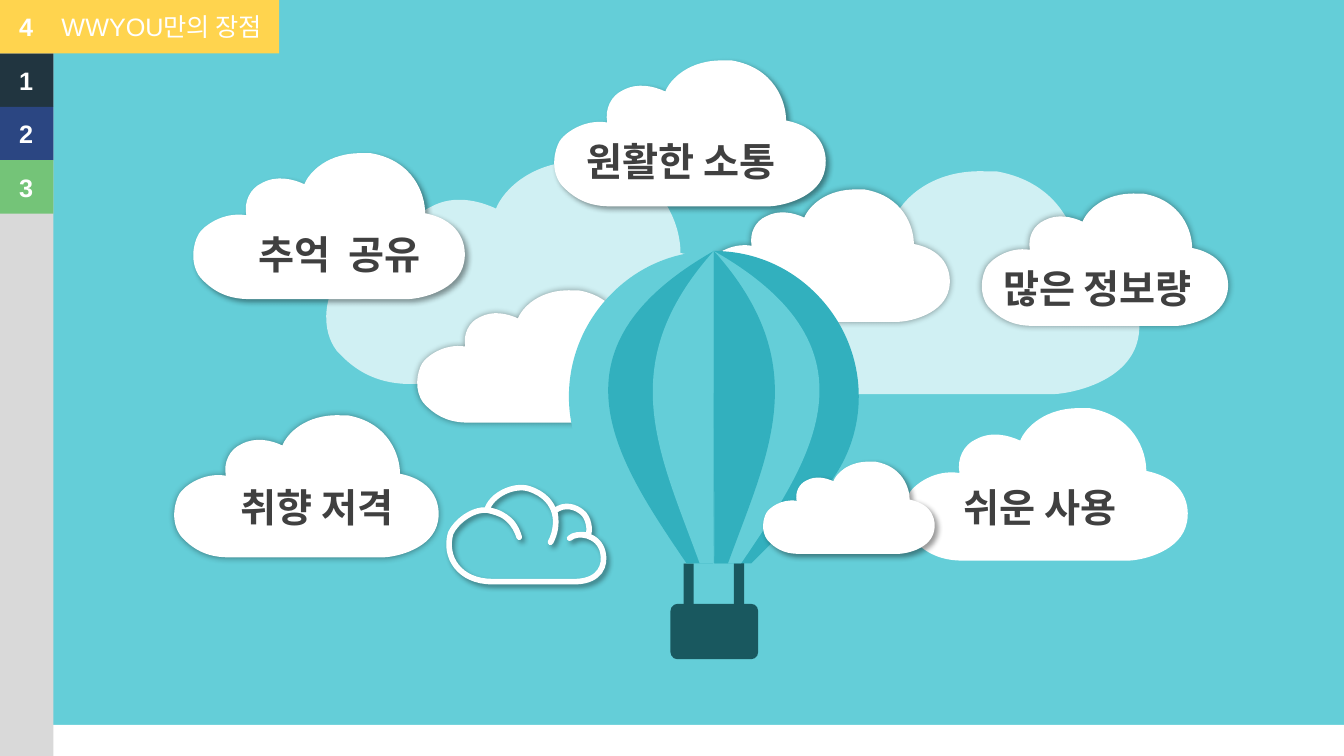
"""Builds a slide of service advantages on clouds around a hot-air balloon."""
import pptx
import pptx.dml.color
import pptx.enum.shapes
import pptx.enum.text
import pptx.oxml
import pptx.oxml.ns
import pptx.util

Inches = pptx.util.Inches
Align = pptx.enum.text.PP_ALIGN
Anchor = pptx.enum.text.MSO_ANCHOR
Preset = pptx.enum.shapes.MSO_SHAPE
namespace = pptx.oxml.ns.nsdecls("a")


class Theme:
    sky, teal, basket = "64CED8", "32B0BE", "19585F"
    white, ink, rail, banner = "FFFFFF", "404040", "D9D9D9", "FFD44E"
    navy, blue, green = "213540", "2B4682", "74C478"
    label = {"size": pptx.util.Pt(28), "bold": True, "name": "Arial"}
    number = {"size": pptx.util.Pt(18), "bold": True, "name": "Arial"}
    heading = {"size": pptx.util.Pt(18), "bold": False, "name": "Arial"}
    glow, drop = (5, 0, 0), (4, 3, 45)


def paint(shape, fill=None, shadow=None, opacity=None):
    """Give a shape a flat fill without a line, and an optional shadow."""
    shape.shadow.inherit = False
    shape.line.fill.background()
    if fill:
        shape.fill.solid()
        shape.fill.fore_color.rgb = pptx.dml.color.RGBColor.from_string(fill)
    else:
        shape.fill.background()
    properties = shape.element.spPr
    if opacity:
        properties.find(".//" + pptx.oxml.ns.qn("a:srgbClr")).append(
            pptx.oxml.parse_xml(f'<a:alpha {namespace} val="{opacity * 1000}"/>'))
    if shadow:
        blur, distance, angle = shadow
        properties.find(pptx.oxml.ns.qn("a:effectLst")).append(pptx.oxml.parse_xml(
            f'<a:outerShdw {namespace} blurRad="{blur * 12700}" dist="{distance * 12700}"'
            f' dir="{angle * 60000}" algn="ctr" rotWithShape="0">'
            '<a:srgbClr val="000000"><a:alpha val="40000"/></a:srgbClr></a:outerShdw>'))
    return shape


def trace(segments, left=0, top=0, scale_x=1, scale_y=1):
    """Add a closed outline of points and cubic curves, placed and scaled."""
    placed = [(Inches(left + segment[i] * scale_x), Inches(top + segment[i + 1] * scale_y))
              for segment in segments for i in range(0, len(segment), 2)]
    builder = slide.shapes.build_freeform(*placed[0], scale=1.0)
    builder.add_line_segments(placed[1:], close=True)
    shape = builder.convert_to_shape()
    lines = iter(list(shape.element.iter(pptx.oxml.ns.qn("a:lnTo"))))
    for segment in segments[1:]:
        group = [next(lines) for _ in range(len(segment) // 2)]
        if len(group) == 3:
            curve = pptx.oxml.parse_xml(f"<a:cubicBezTo {namespace}/>")
            group[0].addprevious(curve)
            for line in group:
                curve.append(line[0])
                line.getparent().remove(line)
    return shape


deck = pptx.Presentation()
deck.slide_width, deck.slide_height = Inches(13.33), Inches(7.5)
slide = deck.slides.add_slide(deck.slide_layouts[5])
slide.background.fill.solid()
slide.background.fill.fore_color.rgb = pptx.dml.color.RGBColor.from_string(Theme.sky)

ground = slide.shapes.add_shape(Preset.RECTANGLE, 0, Inches(7.19), Inches(13.33), Inches(0.31))
paint(ground, Theme.white)

cloud_width = 4.11
cloud = [
    (2.58, 0), (2.61, 0, 2.65, 0, 2.69, 0), (3.33, 0.11, 3.51, 0.62, 3.51, 0.91),
    (4.1, 1.03, 4.14, 1.45, 4.1, 1.65), (4.02, 2.08, 3.46, 2.2, 3.27, 2.21), (0.8, 2.21),
    (0.49, 2.2, 0.28, 2.08, 0.1, 1.88), (-0.06, 1.67, -0.01, 1.37, 0.08, 1.22),
    (0.14, 1.12, 0.43, 0.88, 0.8, 0.94), (0.76, 0.73, 0.86, 0.53, 1.04, 0.45),
    (1.26, 0.33, 1.51, 0.39, 1.68, 0.47), (1.75, 0.29, 2.04, -0.02, 2.58, 0),
]
back_clouds = [
    (7.19, 1.7, 4.11, None, 70),
    (9.74, 1.92, 2.44, Theme.glow, None),
    (3.24, 1.6, 4.11, None, 70),
    (8.97, 4.05, 2.81, None, None),
    (5.5, 0.6, 2.69, Theme.drop, None),
    (1.92, 1.52, 2.69, Theme.drop, None),
    (1.73, 4.12, 2.62, Theme.glow, None),
    (4.14, 2.88, 2.44, Theme.glow, None),
    (6.98, 1.88, 2.44, Theme.glow, None),
]
for left, top, width, shadow, opacity in back_clouds:
    scale = width / cloud_width
    paint(trace(cloud, left, top, scale, scale), Theme.white, shadow, opacity)

line_cloud = paint(trace([
    (4.88, 5.77), (5.72, 5.77), (5.95, 5.76, 6.01, 5.61, 5.98, 5.48),
    (5.94, 5.3, 5.72, 5.27, 5.65, 5.34), (5.69, 5.3, 5.78, 5.3, 5.83, 5.31),
    (5.86, 5.27, 5.84, 5.13, 5.77, 5.08), (5.71, 5.03, 5.6, 4.99, 5.5, 5.07),
    (5.52, 5.15, 5.52, 5.27, 5.46, 5.38), (5.55, 5.22, 5.55, 4.95, 5.25, 4.85),
    (5.1, 4.8, 4.87, 4.91, 4.83, 5.06), (4.95, 5.09, 5.09, 5.12, 5.15, 5.33),
    (5.11, 5.2, 5.01, 5.08, 4.83, 5.06), (4.68, 5.05, 4.52, 5.18, 4.47, 5.29),
    (4.4, 5.53, 4.56, 5.77, 4.88, 5.77),
]), shadow=Theme.drop)
line_cloud.line.color.rgb = pptx.dml.color.RGBColor.from_string(Theme.white)
line_cloud.line.width = pptx.util.Pt(4)

for preset, left, top, width in [
    (Preset.RECTANGLE, 6.78, 5.59, 0.1),
    (Preset.RECTANGLE, 7.28, 5.55, 0.1),
    (Preset.ROUNDED_RECTANGLE, 6.65, 5.99, 0.87),
]:
    gondola = slide.shapes.add_shape(preset, Inches(left), Inches(top), Inches(width), Inches(0.55))
    paint(gondola, Theme.basket)
gondola.adjustments[0] = 0.13

balloon_half = [
    [(0, 0), (0, 3.1), (0.37, 3.1), (1.01, 2.46),
     (1.58, 1.9, 1.58, 0.99, 1.01, 0.42), (0.73, 0.14, 0.37, 0, 0, 0)],
    [(0, 0), (0, 0.99, 0, 2.26, 0.01, 3.1), (0.27, 3.1), (0.96, 2.08, 1.72, 0.98, 0, 0)],
    [(0, 0), (0, 0.99, 0, 2.26, 0.01, 3.1), (0.14, 3.1), (0.54, 2, 1.01, 1.13, 0, 0)],
]
for side, outer, inner in [(-1, Theme.sky, Theme.teal), (1, Theme.teal, Theme.sky)]:
    for panel, colour in zip(balloon_half, (outer, inner, outer)):
        paint(trace(panel, 7.08, 2.49, side), colour)

front_scale = 1.7 / cloud_width
paint(trace(cloud, 7.57, 4.58, front_scale, front_scale), Theme.white, Theme.drop)

captions = []
for text, left, top, width, align in [
    ("취향 저격", 1.13, 4.75, 2.87, Align.RIGHT),
    ("추억  공유", 1.4, 2.24, 2.87, Align.RIGHT),
    ("많은 정보량", 9.85, 2.57, 3.03, Align.LEFT),
    ("원활한 소통", 5.72, 1.31, 3.03, Align.LEFT),
    ("쉬운 사용", 9.46, 4.75, 3.03, Align.LEFT),
]:
    advantage = slide.shapes.add_textbox(Inches(left), Inches(top), Inches(width), Inches(0.57))
    advantage.text_frame.word_wrap = True
    captions.append((advantage, text, align, Anchor.TOP, Theme.label, Theme.ink))

tab = 0.53
rail = slide.shapes.add_shape(Preset.RECTANGLE, 0, 0, Inches(tab), Inches(7.5))
paint(rail, Theme.rail)
for row, number, width, colour in [
    (1, "1", tab, Theme.navy),
    (2, "2", tab, Theme.blue),
    (3, "3", tab, Theme.green),
    (0, "4", 2.77, Theme.banner),
]:
    chapter = slide.shapes.add_shape(
        Preset.RECTANGLE, 0, Inches(tab * row), Inches(width), Inches(tab))
    paint(chapter, colour)
    chapter.text_frame.margin_left = Inches(0.19)
    chapter.text_frame.margin_right = 0
    captions.append((chapter, number, Align.LEFT, Anchor.MIDDLE, Theme.number, Theme.white))

title = slide.shapes.title
title.left, title.top, title.width, title.height = map(Inches, (0.51, 0.06, 2.31, 0.4))
title.text_frame.word_wrap = False
title.text_frame.auto_size = pptx.enum.text.MSO_AUTO_SIZE.NONE
chapter.element.addnext(title.element)
captions.append((title, "WWYOU만의 장점", Align.LEFT, Anchor.TOP, Theme.heading, Theme.white))

for holder, text, align, anchor, style, colour in captions:
    holder.text_frame.vertical_anchor = anchor
    paragraph = holder.text_frame.paragraphs[0]
    paragraph.alignment = align
    run = paragraph.add_run()
    run.text = text
    run.font.color.rgb = pptx.dml.color.RGBColor.from_string(colour)
    for attribute, value in style.items():
        setattr(run.font, attribute, value)

deck.save("out.pptx")
